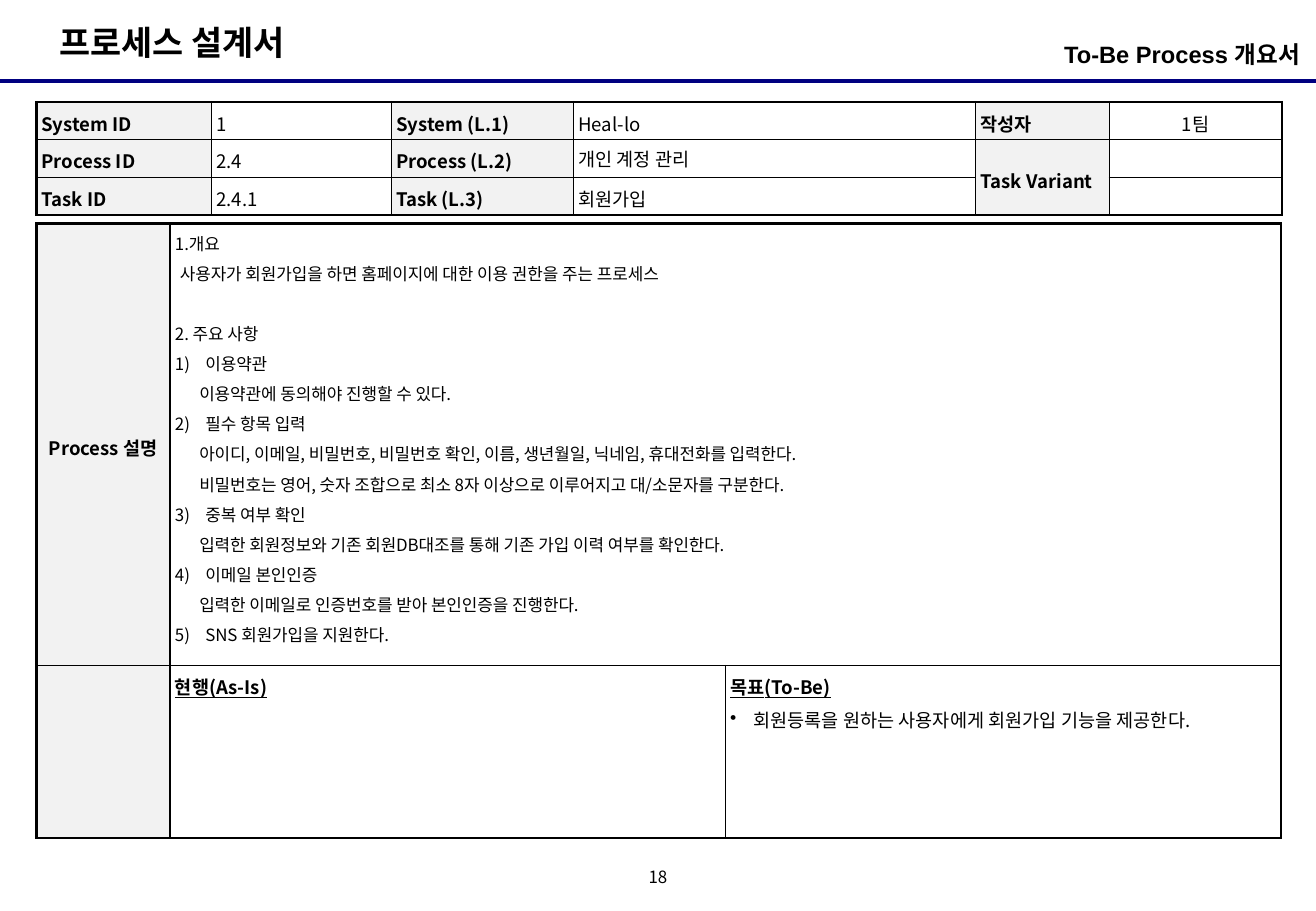
from dataclasses import asdict, dataclass

from lxml.etree import SubElement
from pptx import Presentation
from pptx.dml.color import RGBColor
from pptx.enum.shapes import MSO_CONNECTOR
from pptx.enum.text import MSO_ANCHOR, MSO_AUTO_SIZE, PP_ALIGN
from pptx.oxml.ns import qn
from pptx.slide import Slide
from pptx.table import _Cell
from pptx.text.text import TextFrame
from pptx.util import Inches, Pt

COLORS = {"text": "000000", "rule": "000080", "label": "F2F2F2", "cell": "FFFFFF"}
KOREAN_FONT = "Noto Sans CJK KR"
OUTER, INNER = 1.5, 1.0


@dataclass
class Line:
    text: str = ""
    size: float = 11
    bold: bool = False
    underline: bool = False
    align: PP_ALIGN = PP_ALIGN.LEFT
    spacing: float = 1.1
    before: float = 2
    indent: float = 0
    bullet: str = ""
    number: int = 0


@dataclass
class Entry:
    lines: list[Line]
    label: bool = False
    middle: bool = False
    rows: int = 1
    columns: int = 1


def label(text: str, **layout) -> Entry:
    return Entry([Line(text, bold=True)], label=True, **layout)


def value(text: str = "", **style) -> Entry:
    return Entry([Line(text, **style)])


def body(text: str, **style) -> Line:
    return Line(text, size=10, **style)


def step(number: int, text: str) -> Line:
    return body(text, number=number, indent=0.25)


def detail(text: str) -> Line:
    return body(text, indent=0.2)


HEADER = {
    (0, 0): label("System ID"),
    (0, 1): value("1"),
    (0, 2): label("System (L.1)"),
    (0, 3): value("Heal-lo"),
    (0, 4): label("작성자", middle=True),
    (0, 5): Entry([Line("1팀", align=PP_ALIGN.CENTER)], middle=True),
    (1, 0): label("Process ID"),
    (1, 1): value("2.4"),
    (1, 2): label("Process (L.2)"),
    (1, 3): value("개인 계정 관리", spacing=1.0),
    (1, 4): label("Task Variant", middle=True, rows=2),
    (2, 0): label("Task ID"),
    (2, 1): value("2.4.1"),
    (2, 2): label("Task (L.3)"),
    (2, 3): value("회원가입"),
}

DESCRIPTION = [
    body("1.개요"),
    body("사용자가 회원가입을 하면 홈페이지에 대한 이용 권한을 주는 프로세스", indent=0.04),
    body("2. 주요 사항", before=20),
    step(1, "이용약관"),
    detail("이용약관에 동의해야 진행할 수 있다."),
    step(2, "필수 항목 입력"),
    detail("아이디, 이메일, 비밀번호, 비밀번호 확인, 이름, 생년월일, 닉네임, 휴대전화를 입력한다."),
    detail("비밀번호는 영어, 숫자 조합으로 최소 8자 이상으로 이루어지고 대/소문자를 구분한다."),
    step(3, "중복 여부 확인"),
    detail("입력한 회원정보와 기존 회원DB대조를 통해 기존 가입 이력 여부를 확인한다."),
    step(4, "이메일 본인인증"),
    detail("입력한 이메일로 인증번호를 받아 본인인증을 진행한다."),
    step(5, "SNS 회원가입을 지원한다."),
]

PROCESS = {
    (0, 0): Entry([Line("Process 설명", bold=True, align=PP_ALIGN.CENTER)], label=True, middle=True),
    (0, 1): Entry(DESCRIPTION, columns=2),
    (1, 0): label(""),
    (1, 1): value("현행(As-Is)", bold=True, underline=True),
    (1, 2): Entry([
        Line("목표(To-Be)", bold=True, underline=True),
        Line("회원등록을 원하는 사용자에게 회원가입 기능을 제공한다.", bullet="•", indent=0.19),
    ]),
}


def write(frame: TextFrame, text: str, *, size: float, bold: bool = False, underline: bool = False,
          align: PP_ALIGN = PP_ALIGN.LEFT, spacing: float = 1.0, before: float = 0, indent: float = 0,
          bullet: str = "", number: int = 0, font: str = KOREAN_FONT, first: bool = True) -> None:
    """Write one formatted paragraph into a text frame."""
    paragraph = frame.paragraphs[0] if first else frame.add_paragraph()
    properties = paragraph._p.get_or_add_pPr()
    if indent:
        properties.set("marL", str(Inches(indent)))
    if bullet or number:
        properties.set("indent", str(-Inches(indent)))
    if bullet:
        SubElement(properties, qn("a:buChar"), char=bullet)
    elif number:
        SubElement(properties, qn("a:buAutoNum"), type="arabicParenR", startAt=str(number))
    else:
        SubElement(properties, qn("a:buNone"))
    paragraph.alignment = align
    paragraph.line_spacing = spacing
    paragraph.space_before = Pt(0 if first else before)
    if not text:
        SubElement(paragraph._p, qn("a:endParaRPr"), sz=str(int(size * 100)))
        return
    run = paragraph.add_run()
    run.text = text
    run.font.size, run.font.bold, run.font.underline = Pt(size), bold, underline
    run.font.color.rgb = RGBColor.from_string(COLORS["text"])
    run.font.name = font
    SubElement(run._r.get_or_add_rPr(), qn("a:ea"), typeface=KOREAN_FONT)


def set_borders(cell: _Cell, widths: dict[str, float]) -> None:
    """Draw the four edges of a cell."""
    properties = cell._tc.get_or_add_tcPr()
    for side, width in widths.items():
        edge = SubElement(properties, qn(f"a:ln{side}"), w=str(Pt(width)))
        fill = SubElement(edge, qn("a:solidFill"))
        SubElement(fill, qn("a:srgbClr"), val=COLORS["text"])


def add_form(slide: Slide, top: float, columns: list[float], rows: list[float],
             entries: dict[tuple[int, int], Entry]) -> None:
    """Add a bordered form table with its entries."""
    shape = slide.shapes.add_table(len(rows), len(columns), Inches(0.3), Inches(top),
                                   Inches(sum(columns)), Inches(sum(rows)))
    table = shape.table
    table.first_row = table.horz_banding = False
    for column, width in zip(table.columns, columns):
        column.width = Inches(width)
    for row, height in zip(table.rows, rows):
        row.height = Inches(height)
    for row in range(len(rows)):
        for column in range(len(columns)):
            entry = entries.get((row, column), value())
            cell = table.cell(row, column)
            if entry.rows > 1 or entry.columns > 1:
                cell.merge(table.cell(row + entry.rows - 1, column + entry.columns - 1))
            set_borders(cell, {
                "L": INNER if column else OUTER,
                "R": OUTER if column + entry.columns == len(columns) else INNER,
                "T": INNER if row else OUTER,
                "B": OUTER if row + entry.rows == len(rows) else INNER,
            })
            cell.fill.solid()
            cell.fill.fore_color.rgb = RGBColor.from_string(COLORS["label" if entry.label else "cell"])
            cell.margin_left = cell.margin_right = cell.margin_top = Inches(0.04)
            cell.margin_bottom = Inches(0.02)
            cell.vertical_anchor = MSO_ANCHOR.MIDDLE if entry.middle else MSO_ANCHOR.TOP
            for index, line in enumerate(entry.lines):
                write(cell.text_frame, first=index == 0, **asdict(line))


def add_text(slide: Slide, box: tuple[float, float, float, float], text: str, margin: float, **style) -> None:
    """Add a one-line text box."""
    frame = slide.shapes.add_textbox(*map(Inches, box)).text_frame
    frame.word_wrap = True
    frame.margin_left = frame.margin_right = 0
    frame.margin_top = frame.margin_bottom = Inches(margin)
    write(frame, text, **style)


def main() -> None:
    """Build the process overview slide."""
    presentation = Presentation()
    presentation.slide_width, presentation.slide_height = Inches(10.83), Inches(7.5)
    slide = presentation.slides.add_slide(presentation.slide_layouts[5])

    rule = slide.shapes.add_connector(MSO_CONNECTOR.STRAIGHT, 0, Inches(0.67), Inches(10.83), Inches(0.67))
    rule.line.color.rgb = RGBColor.from_string(COLORS["rule"])
    rule.line.width = Pt(2.25)
    SubElement(rule._element.spPr, qn("a:effectLst"))

    title = slide.shapes.title
    title.left, title.top, title.width, title.height = map(Inches, (0.39, 0.13, 2.26, 0.44))
    title.text_frame.word_wrap = False
    title.text_frame.auto_size = MSO_AUTO_SIZE.NONE
    title.text_frame.vertical_anchor = MSO_ANCHOR.TOP
    write(title.text_frame, "프로세스 설계서", size=20, bold=True)

    add_form(slide, 0.84, [1.44, 1.48, 1.5, 3.31, 1.1, 1.42], [0.31] * 3, HEADER)
    add_form(slide, 1.84, [1.1, 4.57, 4.57], [3.64, 1.42], PROCESS)
    add_text(slide, (7.39, 0.28, 3.31, 0.39), "To-Be Process 개요서", 0.05,
             size=14, bold=True, align=PP_ALIGN.RIGHT, font="Arial")
    add_text(slide, (5.25, 7.17, 0.33, 0.25), "18", 0, size=10, align=PP_ALIGN.CENTER, spacing=0.8)
    presentation.save("out.pptx")


if __name__ == "__main__":
    main()
